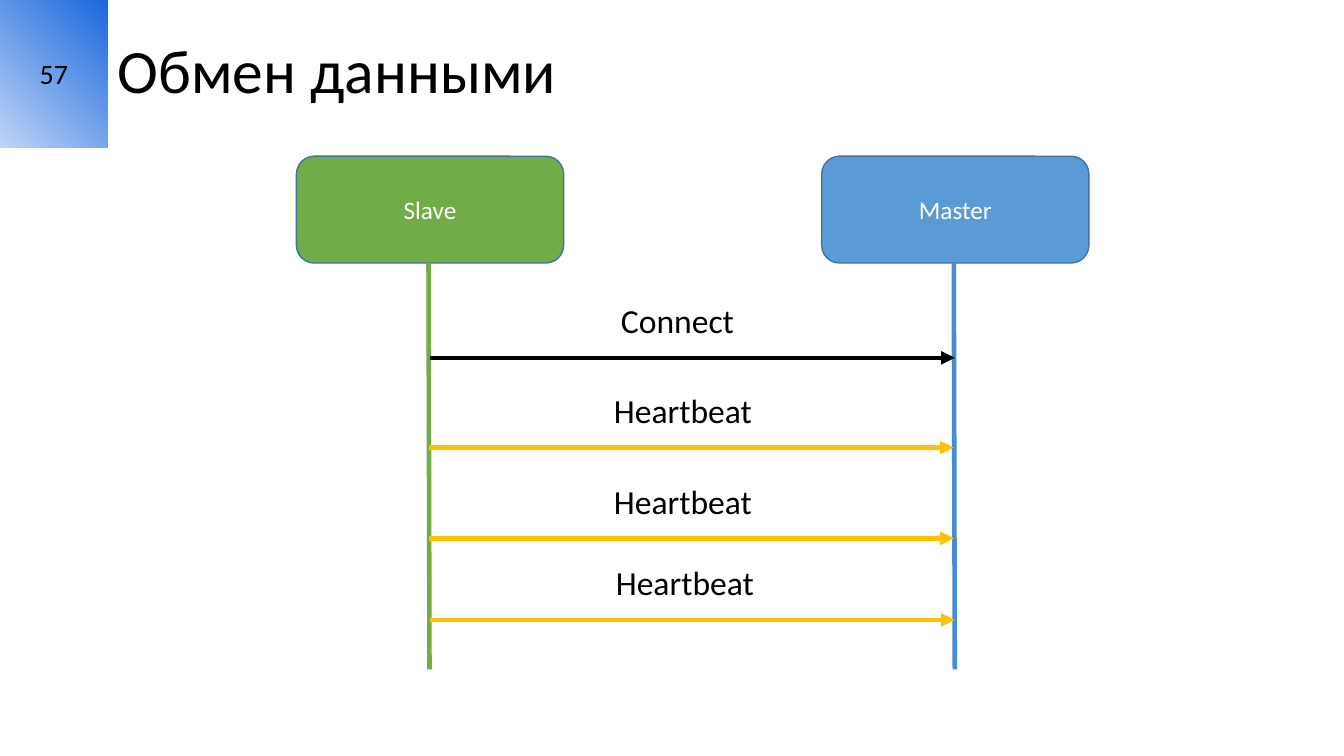
from lxml.etree import SubElement
from pptx import Presentation
from pptx.dml.color import RGBColor
from pptx.enum.shapes import MSO_CONNECTOR as Connector, MSO_SHAPE as Shape
from pptx.enum.text import MSO_ANCHOR as Anchor, MSO_AUTO_SIZE as AutoSize, PP_ALIGN as Align
from pptx.oxml.ns import qn
from pptx.util import Inches, Pt


def color(hex_string):
    return RGBColor.from_string(hex_string)


def write(shape, text, size=18, fill="000000", align=Align.LEFT,
          anchor=Anchor.MIDDLE, wrap=True, spacing=None, font="Calibri"):
    frame = shape.text_frame
    frame.word_wrap = wrap
    frame.vertical_anchor = anchor
    paragraph = frame.paragraphs[0]
    paragraph.text = text
    paragraph.alignment = align
    paragraph.line_spacing = spacing
    paragraph.font.name = font
    paragraph.font.size = Pt(size)
    paragraph.font.color.rgb = color(fill)


class SequenceDiagram:
    line_width = 3.25
    outline = "43739E"

    def __init__(self, slide):
        self.shapes = slide.shapes

    def page_number(self, text, width, height):
        shape = self.shapes.add_shape(Shape.RECTANGLE, 0, 0, Inches(width), Inches(height))
        shape.shadow.inherit = False
        shape.line.fill.background()
        shape.fill.gradient()
        shape.fill.gradient_angle = 225
        for stop, shade in zip(shape.fill.gradient_stops, ("1968DD", "BED4F6")):
            stop.color.rgb = color(shade)
        frame = shape.text_frame
        frame.margin_left = frame.margin_right = Inches(0.1)
        frame.margin_top = frame.margin_bottom = Inches(0.1)
        write(shape, text, size=20, align=Align.CENTER)

    def title(self, text, left, width, height):
        box = self.shapes.add_textbox(Inches(left), 0, Inches(width), Inches(height))
        write(box, text, size=44, spacing=0.9)

    def participant(self, name, left, fill):
        shape = self.shapes.add_shape(
            Shape.ROUNDED_RECTANGLE, Inches(left), Inches(1.55), Inches(2.65), Inches(1.06))
        shape.shadow.inherit = False
        shape.fill.solid()
        shape.fill.fore_color.rgb = color(fill)
        shape.line.color.rgb = color(self.outline)
        shape.line.width = Pt(1)
        write(shape, name, fill="FFFFFF", align=Align.CENTER)

    def line(self, start, end, stroke, arrow=False):
        points = [Inches(value) for value in (*start, *end)]
        connector = self.shapes.add_connector(Connector.STRAIGHT, *points)
        connector.line.color.rgb = color(stroke)
        connector.line.width = Pt(self.line_width)
        properties = connector.element.spPr
        if arrow:
            SubElement(properties.find(qn("a:ln")), qn("a:tailEnd"), type="triangle")
        SubElement(properties, qn("a:effectLst"))

    def message(self, text, start, y, stroke, label_left, label_width):
        """Draw an arrow from Slave to Master with its label above."""
        self.line((start, y), (start + 5.21, y), stroke, arrow=True)
        box = self.shapes.add_textbox(
            Inches(label_left), Inches(y - 0.62), Inches(label_width), Inches(0.5))
        write(box, text, size=24, anchor=Anchor.TOP, wrap=False)
        box.text_frame.auto_size = AutoSize.SHAPE_TO_FIT_TEXT


def main():
    presentation = Presentation()
    presentation.slide_width = Inches(13.33)
    presentation.slide_height = Inches(7.5)
    diagram = SequenceDiagram(presentation.slides.add_slide(presentation.slide_layouts[6]))

    diagram.page_number("57", 1.07, 1.46)
    diagram.title("Обмен данными", 1.07, 12.26, 1.46)

    for name, left, fill, lifeline in (
        ("Master", 8.15, "5B9BD5", "458DCF"),
        ("Slave", 2.94, "70AD47", "70AD47"),
    ):
        diagram.participant(name, left, fill)
        diagram.line((left + 1.31, 2.61), (left + 1.32, 6.64), lifeline)

    for start, y, label_left in ((4.25, 4.44, 5.99), (4.25, 5.34, 5.99), (4.26, 6.15, 6.01)):
        diagram.message("Heartbeat", start, y, "FFC000", label_left, 1.59)
    diagram.message("Connect", 4.26, 3.55, "000000", 6.06, 1.33)

    presentation.save("out.pptx")


if __name__ == "__main__":
    main()
